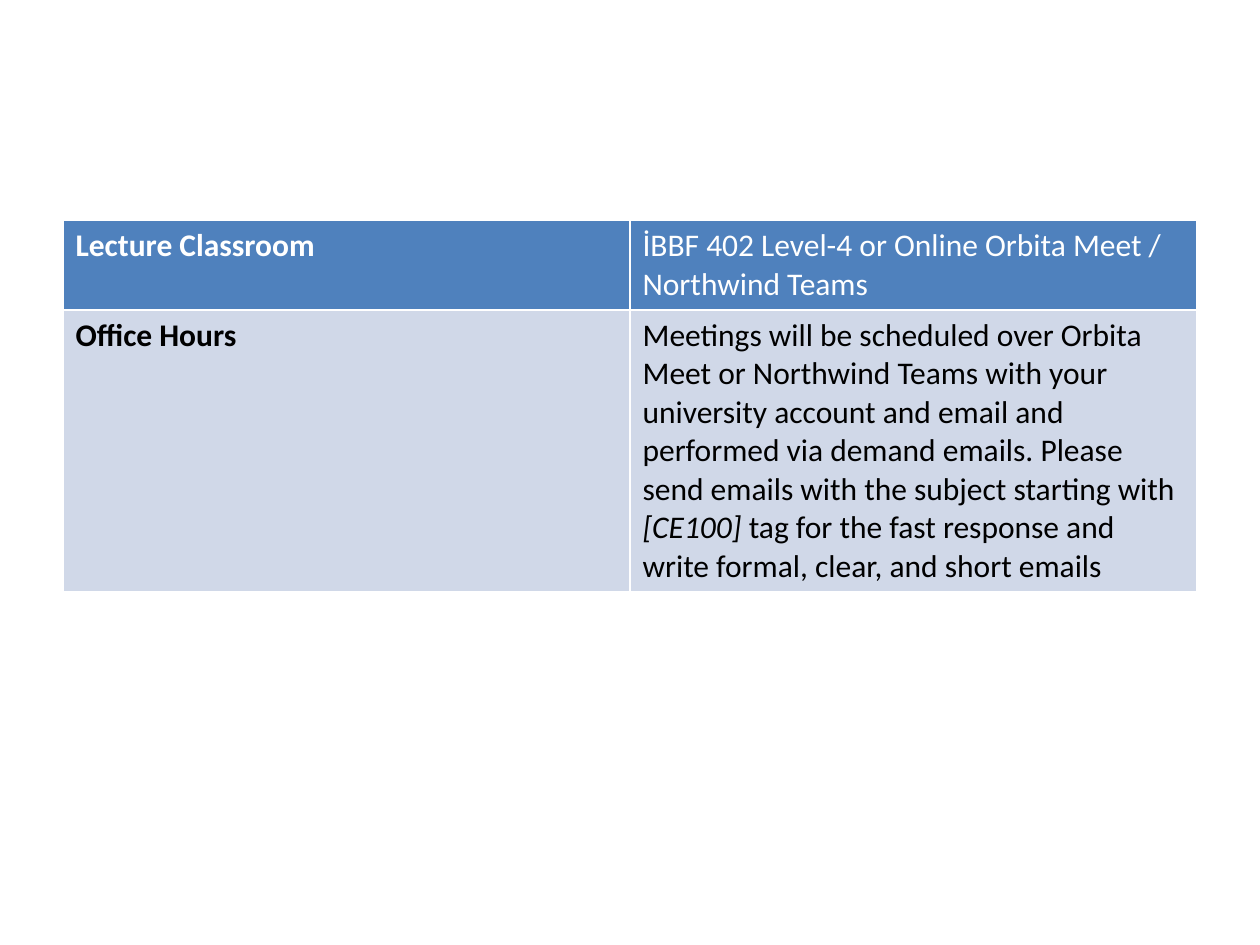
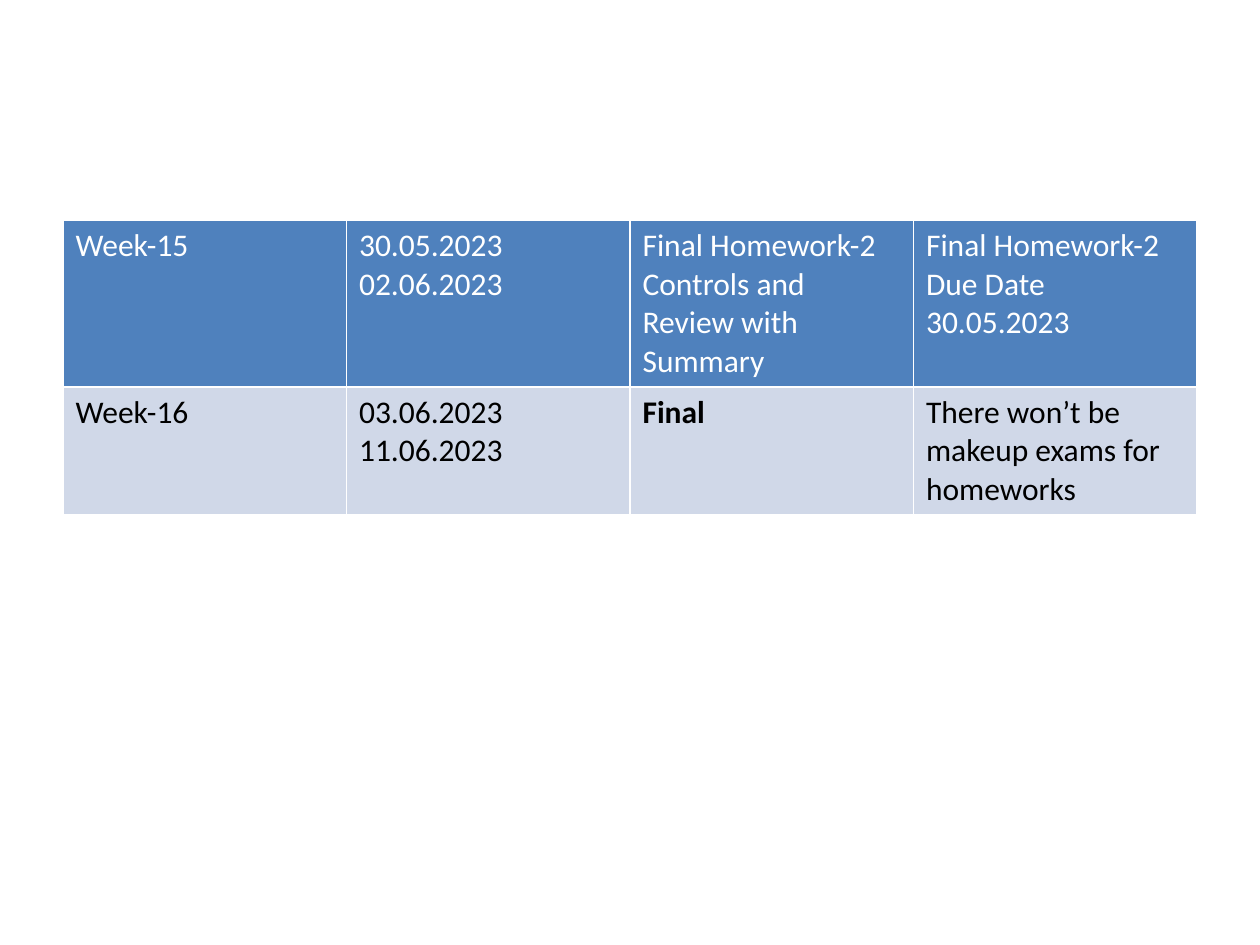
from lxml.etree import SubElement
from pptx import Presentation
from pptx.dml.color import RGBColor as Rgb
from pptx.oxml.ns import qn
from pptx.util import Emu, Pt

EMU_PER_PX = 9144  # 100 px to the inch
SLIDE_SIZE = (1000, 750)
TABLE_LEFT, TABLE_TOP, TABLE_WIDTH = 50, 175, 900
BORDER_WIDTH = Pt(1)

WHITE = "FFFFFF"
HEADER = {"fill": "4F81BD", "text": WHITE}
BODY = {"fill": "D0D8E8", "text": "000000"}
BASE_FONT = {"name": "Calibri", "size": Pt(18), "bold": False, "italic": False}
BOLD = {"bold": True}
ITALIC = {"italic": True}

# A cell is a list of runs; a run is its text and its format changes.
CLASS_INFO = [
    [[("Lecture Classroom", BOLD)],
     [("İBBF 402 Level-4 or Online Orbita Meet / Northwind Teams", {})]],
    [[("Office Hours", BOLD)],
     [("Meetings will be scheduled over Orbita Meet or Northwind Teams with "
       "your university account and email and performed via demand emails. "
       "Please send emails with the subject starting with ", {}),
      ("[CE100]", ITALIC),
      (" tag for the fast response and write formal, clear, and short emails", {})]],
]
FINAL_WEEKS = [
    [[("Week-15", {})],
     [("30.05.2023 02.06.2023", {})],
     [("Final Homework-2 Controls and Review with Summary", {})],
     [("Final Homework-2 Due Date 30.05.2023", {})]],
    [[("Week-16", {})],
     [("03.06.2023 11.06.2023", {})],
     [("Final", BOLD)],
     [("There won’t be makeup exams for homeworks", {})]],
]


def px(length):
    return Emu(length * EMU_PER_PX)


def color(hex_value):
    return Rgb.from_string(hex_value)


def add_borders(cell, hex_value):
    properties = cell._tc.get_or_add_tcPr()
    for side in "LRTB":
        line = SubElement(properties, qn(f"a:ln{side}"), w=str(BORDER_WIDTH))
        fill = SubElement(line, qn("a:solidFill"))
        SubElement(fill, qn("a:srgbClr"), val=hex_value)


def write_runs(paragraph, runs, text_color):
    for text, changes in runs:
        run = paragraph.add_run()
        run.text = text
        for key, value in {**BASE_FONT, **changes}.items():
            setattr(run.font, key, value)
        run.font.color.rgb = color(text_color)


def fill_cell(cell, runs, style):
    # Borders must come before the fill in the cell properties
    add_borders(cell, WHITE)
    cell.fill.solid()
    cell.fill.fore_color.rgb = color(style["fill"])
    write_runs(cell.text_frame.paragraphs[0], runs, style["text"])


def add_table_slide(deck, rows, row_heights):
    slide = deck.slides.add_slide(deck.slide_layouts[6])
    column_count = len(rows[0])
    frame = slide.shapes.add_table(
        len(rows), column_count, px(TABLE_LEFT), px(TABLE_TOP),
        px(TABLE_WIDTH), px(sum(row_heights)))
    table = frame.table

    # Equal columns, rows as tall as their text
    for column in table.columns:
        column.width = px(TABLE_WIDTH // column_count)
    for row, height in zip(table.rows, row_heights):
        row.height = px(height)

    # Header row, then body rows
    for row_index, cells in enumerate(rows):
        style = BODY if row_index else HEADER
        for column_index, runs in enumerate(cells):
            fill_cell(table.cell(row_index, column_index), runs, style)


def main():
    deck = Presentation()
    deck.slide_width, deck.slide_height = map(px, SLIDE_SIZE)
    add_table_slide(deck, CLASS_INFO, (71, 223))
    add_table_slide(deck, FINAL_WEEKS, (132, 101))
    deck.save("out.pptx")


if __name__ == "__main__":
    main()
